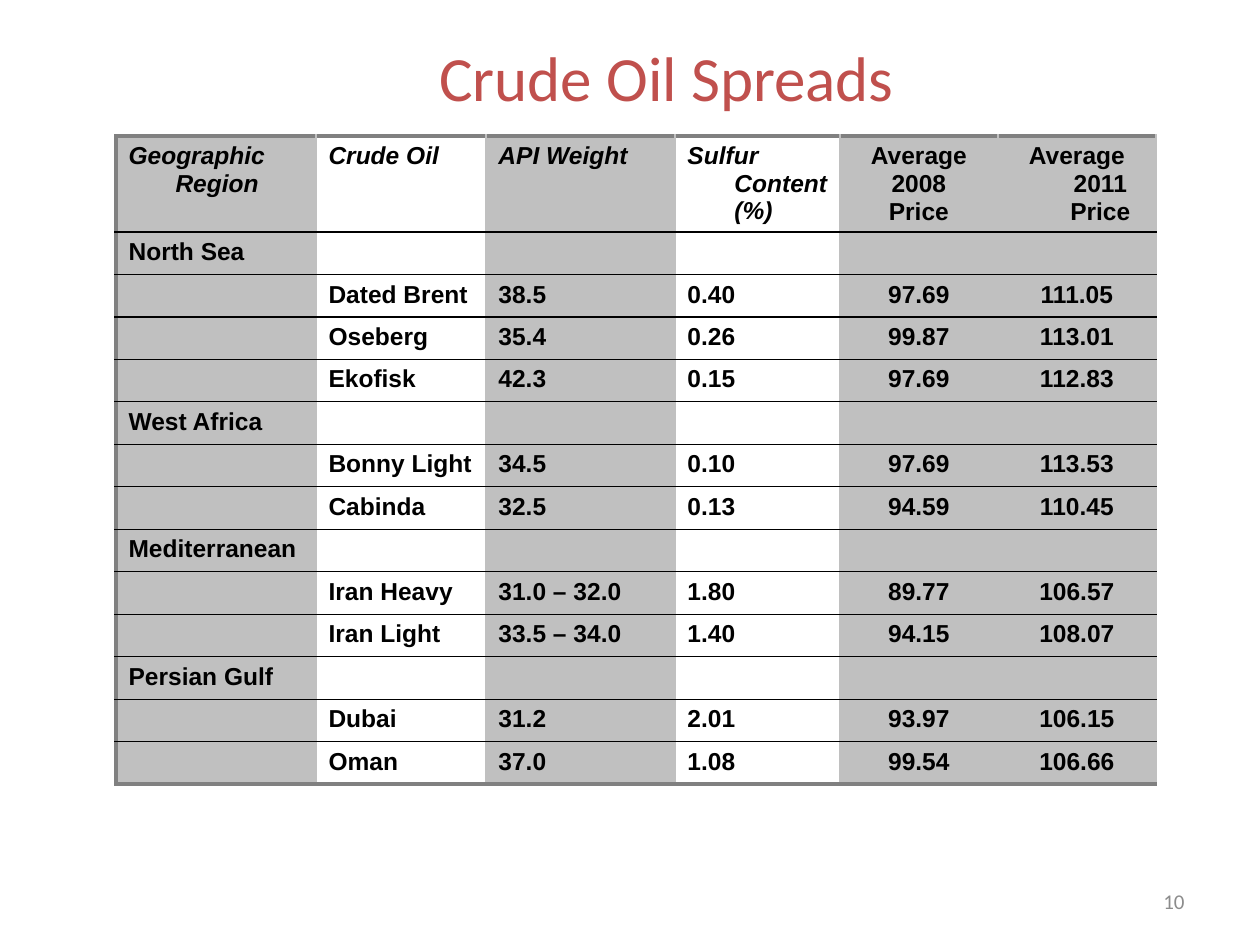
"""Build the Crude Oil Spreads slide with its table of grades and prices."""
from lxml import etree
from pptx import Presentation
from pptx import util as u
from pptx.dml.color import RGBColor
from pptx.enum import text
from pptx.oxml.ns import qn

TITLE = "Crude Oil Spreads"
PAGE = "10"
HEADER = ["Geographic Region", "Crude Oil", "API Weight", "Sulfur Content (%)",
          "Average\n2008\nPrice", "Average 2011 Price"]
REGIONS = {
    "North Sea": [
        ("Dated Brent", "38.5", "0.40", "97.69", "111.05"),
        ("Oseberg", "35.4", "0.26", "99.87", "113.01"),
        ("Ekofisk", "42.3", "0.15", "97.69", "112.83"),
    ],
    "West Africa": [
        ("Bonny Light", "34.5", "0.10", "97.69", "113.53"),
        ("Cabinda", "32.5", "0.13", "94.59", "110.45"),
    ],
    "Mediterranean": [
        ("Iran Heavy", "31.0 – 32.0", "1.80", "89.77", "106.57"),
        ("Iran Light", "33.5 – 34.0", "1.40", "94.15", "108.07"),
    ],
    "Persian Gulf": [
        ("Dubai", "31.2", "2.01", "93.97", "106.15"),
        ("Oman", "37.0", "1.08", "99.54", "106.66"),
    ],
}
COLORS = {"title": "C0504D", "text": "000000", "band": "C0C0C0",
          "frame": "808080", "rule": "000000", "page": "8C8C8C"}
COL_WIDTHS = [200, 170, 189, 165, 158, 158]
HEADER_HEIGHT, ROW_HEIGHT = 96, 40
HANG = 47
WHITE_COLS = (1, 3)
PRICE_COLS = (4, 5)
LEFT, CENTER, RIGHT = text.PP_ALIGN.LEFT, text.PP_ALIGN.CENTER, text.PP_ALIGN.RIGHT


def px(n):
    return u.Emu(n * 914400 // 126)


def style(p, font, size, color, align, bold=False, italic=False):
    p.alignment = align
    for r in p.runs:
        f = r.font
        f.name, f.size, f.bold, f.italic = font, u.Pt(size), bold, italic
        f.color.rgb = RGBColor.from_string(COLORS[color])


def border(cell, side, color, width):
    ln = etree.SubElement(cell._tc.get_or_add_tcPr(), qn(f"a:ln{side}"),
                          w=str(u.Pt(width)))
    fill = etree.SubElement(ln, qn("a:solidFill"))
    etree.SubElement(fill, qn("a:srgbClr"), val=COLORS[color])


def format_cell(cell, row, col, last_row):
    frame, rule = ("frame", 2), ("rule", 0.75)
    header_rule, side = ("rule", 1), ("band", 1)
    border(cell, "L", *(frame if col == 0 else side))
    border(cell, "R", *side)
    border(cell, "T", *{0: frame, 1: header_rule}.get(row, rule))
    border(cell, "B", *{0: header_rule, last_row: frame}.get(row, rule))
    if col in WHITE_COLS:
        cell.fill.background()
    else:
        cell.fill.solid()
        cell.fill.fore_color.rgb = RGBColor.from_string(COLORS["band"])
    is_price = col in PRICE_COLS
    if row == 0 and is_price:
        cell.vertical_anchor = text.MSO_ANCHOR.MIDDLE
    for p in cell.text_frame.paragraphs:
        pPr = p._p.get_or_add_pPr()
        pPr.set("marL", str(px(HANG)))
        pPr.set("indent", str(-px(HANG)))
        style(p, "Arial", 14, "text", CENTER if is_price else LEFT,
              bold=True, italic=row == 0 and not is_price)
        if not p.runs:
            etree.SubElement(p._p, qn("a:endParaRPr"), sz="1400")


def add_oil_table(s):
    rows = [HEADER]
    for region, oils in REGIONS.items():
        rows.append([region] + [""] * (len(HEADER) - 1))
        rows.extend(["", *oil] for oil in oils)
    heights = [HEADER_HEIGHT] + [ROW_HEIGHT] * (len(rows) - 1)
    table = s.shapes.add_table(len(rows), len(HEADER), px(116), px(136),
                               px(sum(COL_WIDTHS)), px(sum(heights))).table
    table.first_row = table.horz_banding = False
    for column, width in zip(table.columns, COL_WIDTHS):
        column.width = px(width)
    for i, (values, height) in enumerate(zip(rows, heights)):
        table.rows[i].height = px(height)
        for j, value in enumerate(values):
            cell = table.cell(i, j)
            cell.text_frame.text = value
            format_cell(cell, i, j, len(rows) - 1)


def main():
    prs = Presentation()
    prs.slide_width, prs.slide_height = px(1260), px(945)
    s = prs.slides.add_slide(prs.slide_layouts[5])
    title = s.shapes.title
    title.left, title.top, title.width, title.height = map(px, (199, 32, 935, 88))
    add_oil_table(s)
    page = s.shapes.add_textbox(*map(px, (903, 876, 294, 50)))
    for sp, words, size, color, align in (
            (title, TITLE, 36, "title", CENTER), (page, PAGE, 12, "page", RIGHT)):
        tf = sp.text_frame
        tf.text = words
        tf.word_wrap = True
        tf.vertical_anchor = text.MSO_ANCHOR.MIDDLE
        style(tf.paragraphs[0], "Calibri", size, color, align)
    prs.save("out.pptx")


if __name__ == "__main__":
    main()
